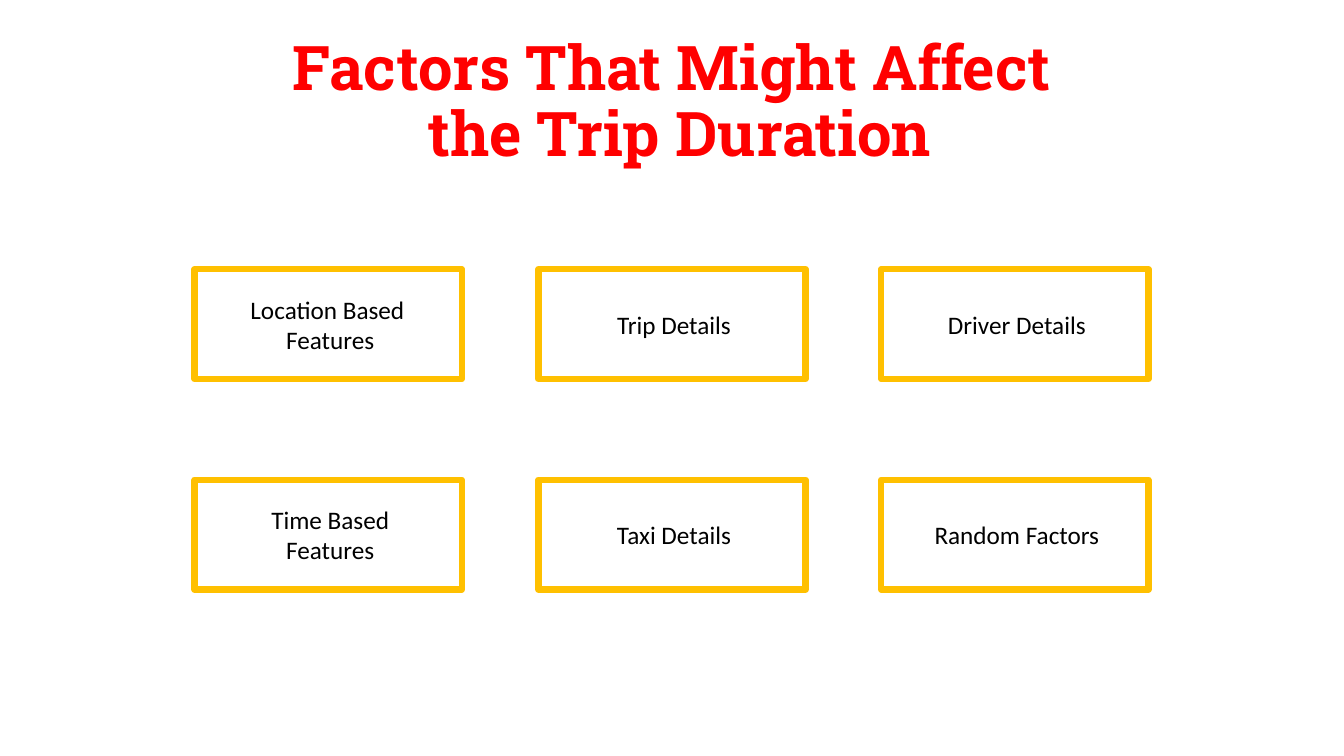
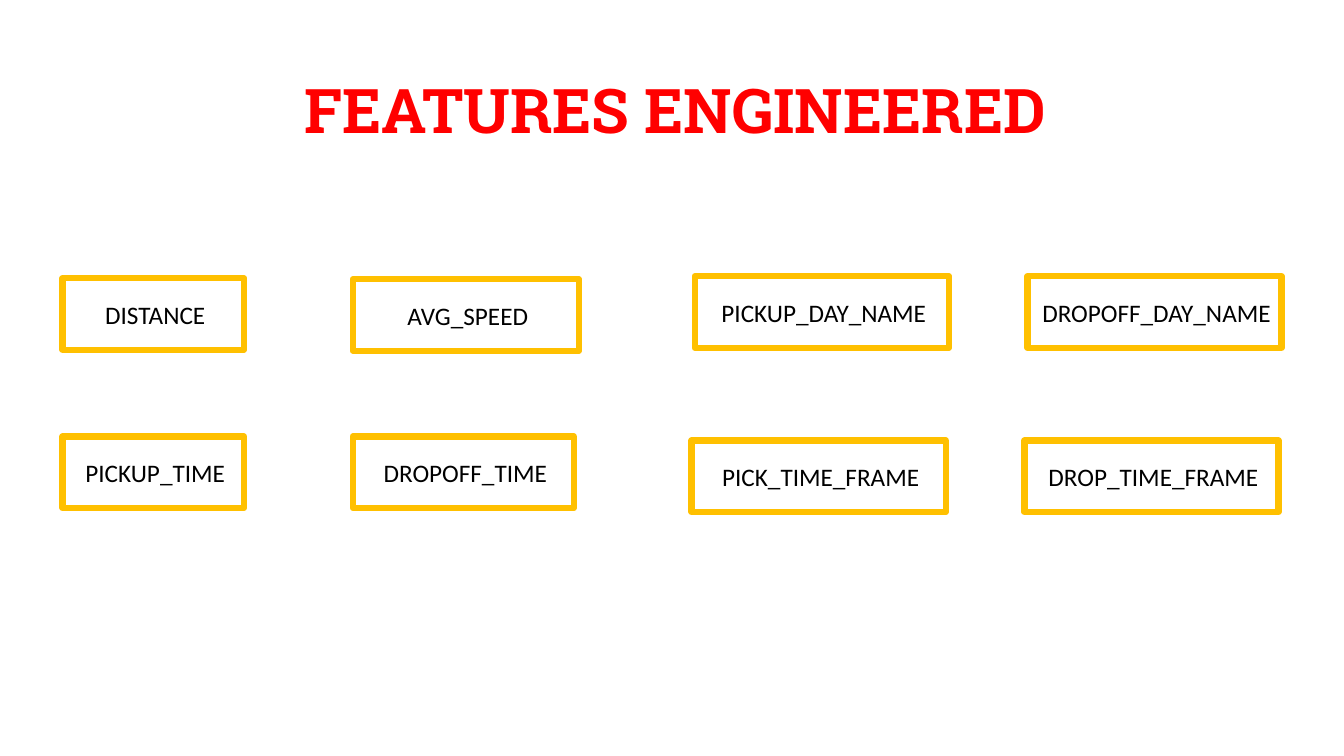
"""Build two slides on the factors and engineered features of trip duration."""
from pptx import Presentation
from pptx.dml.color import RGBColor
from pptx.enum import shapes, text
from pptx.util import Inches, Pt

RED = RGBColor(0xFF, 0x00, 0x00)
AMBER = RGBColor(0xFF, 0xC0, 0x00)
BLACK = RGBColor(0x00, 0x00, 0x00)
TITLE_FONT = {"name": "Roboto Slab", "size": Pt(44), "bold": True}
LABEL_FONT = {"name": "Calibri", "size": Pt(18)}
LABEL_FRAME = {"word_wrap": False, "margin_left": Inches(0.04), "margin_right": 0,
               "margin_top": 0, "margin_bottom": 0}


def write(frame, paragraphs, font, color, spacing=1.0):
    """Fill a frame with centred paragraphs in one font."""
    frame.vertical_anchor = text.MSO_ANCHOR.MIDDLE
    for index, words in enumerate(paragraphs):
        para = frame.add_paragraph() if index else frame.paragraphs[0]
        para.text = words
        para.alignment = text.PP_ALIGN.CENTER
        para.line_spacing = spacing
        for span in para.runs:
            span.font.color.rgb = color
            for name, value in font.items():
                setattr(span.font, name, value)


factor_columns = [1.93, 5.34, 8.74]
factor_rows = [
    (2.67, ["Location Based \nFeatures", "Trip Details", "Driver Details"]),
    (4.76, ["Time Based\nFeatures", "Taxi Details", "Random Factors"]),
]
factors = [(label, left, top, 2.65, 1.09)
           for top, labels in factor_rows
           for left, label in zip(factor_columns, labels)]

features = [(label, left, top, width, 0.71) for label, left, top, width in [
    ("DISTANCE", 0.62, 2.76, 1.8),
    ("AVG_SPEED", 3.5, 2.77, 2.24),
    ("PICKUP_DAY_NAME", 6.89, 2.74, 2.52),
    ("DROPOFF_DAY_NAME", 10.19, 2.74, 2.52),
    ("PICKUP_TIME", 0.62, 4.33, 1.8),
    ("DROPOFF_TIME", 3.5, 4.33, 2.19),
    ("PICK_TIME_FRAME", 6.86, 4.37, 2.52),
    ("DROP_TIME_FRAME", 10.16, 4.37, 2.52),
]]

pages = [
    ("Factors That Might Affect \vthe Trip Duration", 0.99, 0.3, factors),
    ("FEATURES ENGINEERED", 0.95, 0.4, features),
]

deck = Presentation()
deck.slide_width = Inches(13.33)
deck.slide_height = Inches(7.5)

for title, title_left, title_top, boxes in pages:
    page = deck.slides.add_slide(deck.slide_layouts[6])
    heading = page.shapes.add_textbox(
        Inches(title_left), Inches(title_top), Inches(11.5), Inches(1.45))
    heading.text_frame.word_wrap = True
    write(heading.text_frame, [title], TITLE_FONT, RED, 0.9)

    for label, *place in boxes:
        box = page.shapes.add_shape(
            shapes.MSO_SHAPE.RECTANGLE, *[Inches(length) for length in place])
        box.shadow.inherit = False
        box.fill.background()
        box.line.color.rgb = AMBER
        box.line.width = Pt(4.5)
        for name, value in LABEL_FRAME.items():
            setattr(box.text_frame, name, value)
        write(box.text_frame, label.split("\n"), LABEL_FONT, BLACK)

deck.save("out.pptx")
